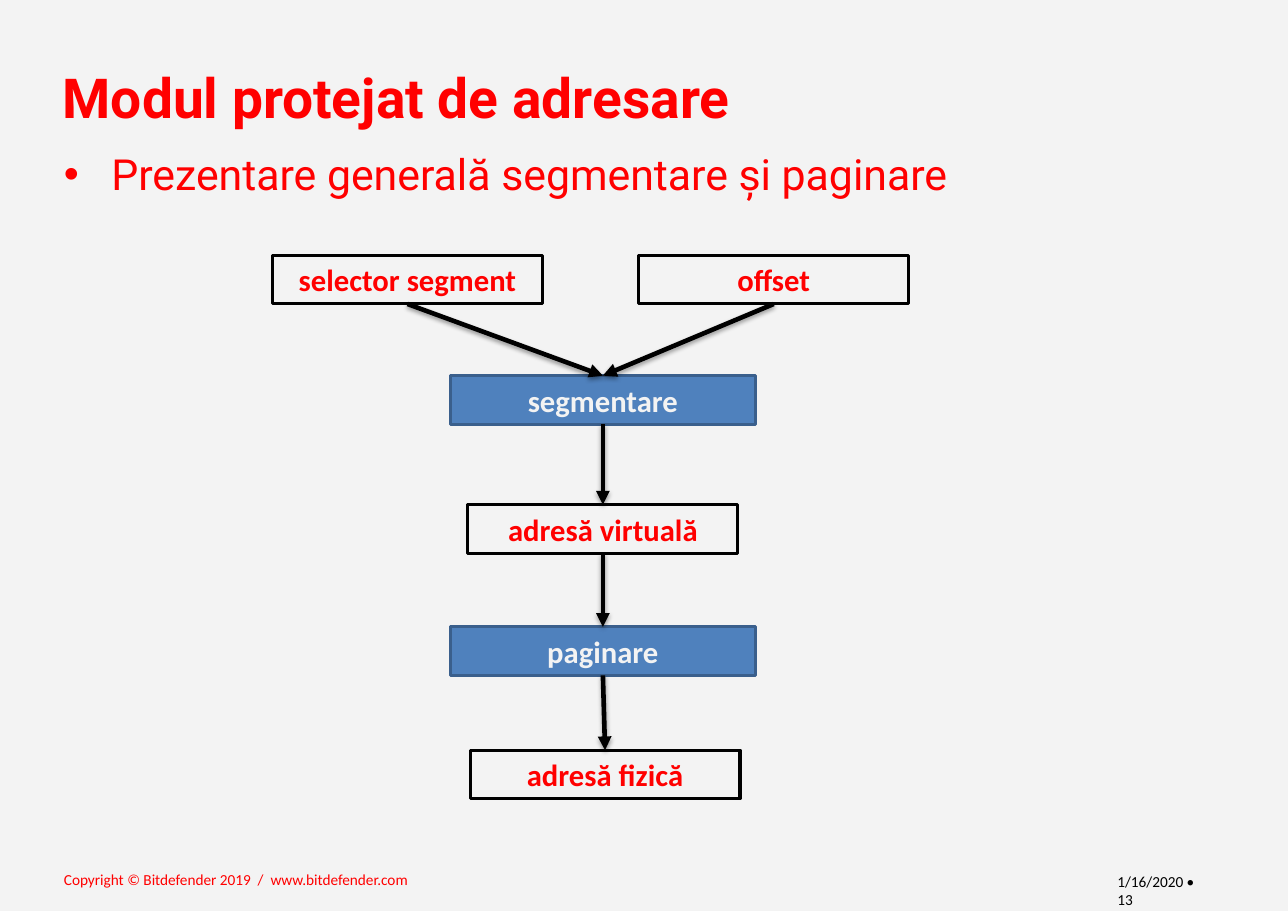
from lxml import etree
from pptx import Presentation
from pptx.dml.color import RGBColor
from pptx.enum.shapes import MSO_CONNECTOR as Connector, MSO_SHAPE as Shape
from pptx.enum.text import MSO_ANCHOR as Anchor, MSO_AUTO_SIZE as AutoSize, PP_ALIGN as Align
from pptx.oxml.ns import qn
from pptx.util import Pt

TITLE = "Modul protejat de adresare"
BULLET = "Prezentare generală segmentare și paginare"
COPYRIGHT = "Copyright © Bitdefender 2019  /  www.bitdefender.com"
DATE_AND_PAGE = "1/16/2020 • 13"

RED, BLACK, LIGHT = "FF0000", "000000", "F3F3F3"
STYLES = {
    "address": {"width": 176.4, "fill": LIGHT, "line": BLACK, "text": RED},
    "step": {"width": 199.4, "fill": "4F81BD", "line": "3A5F8C", "text": LIGHT},
}
BOX_HEIGHT = 31.7
BOXES = [
    ("selector segment", "address", 266.3, 167),
    ("offset", "address", 505.6, 167),
    ("segmentare", "step", 394, 245.5),
    ("adresă virtuală", "address", 394, 329.8),
    ("paginare", "step", 394, 409.7),
    ("adresă fizică", "address", 395.4, 490.3),
]
ARROWS = [
    ("selector segment", "segmentare"),
    ("offset", "segmentare"),
    ("segmentare", "adresă virtuală"),
    ("adresă virtuală", "paginare"),
    ("paginare", "adresă fizică"),
]


def color(value):
    return RGBColor.from_string(value)


def add_run(paragraph, text, font, size, fill, bold=False):
    run = paragraph.add_run()
    run.text = text
    run.font.name = font
    run.font.size = Pt(size)
    run.font.bold = bold
    run.font.color.rgb = color(fill)


def set_frame(frame, anchor, wrap=True, inset_x=8, inset_y=4):
    frame.word_wrap = wrap
    frame.auto_size = AutoSize.NONE
    frame.vertical_anchor = anchor
    frame.margin_left = frame.margin_right = Pt(inset_x)
    frame.margin_top = frame.margin_bottom = Pt(inset_y)
    return frame.paragraphs[0]


def add_text(slide, left, top, width, height, wrap=True):
    box = slide.shapes.add_textbox(Pt(left), Pt(top), Pt(width), Pt(height))
    return set_frame(box.text_frame, Anchor.TOP, wrap)


def add_bullet(paragraph, indent):
    properties = paragraph._p.get_or_add_pPr()
    properties.set("marL", str(Pt(indent)))
    properties.set("indent", str(-Pt(indent)))
    etree.SubElement(properties, qn("a:buFont"), typeface="Arial")
    etree.SubElement(properties, qn("a:buChar"), char="•")


def add_box(slide, label, style, center, top):
    look = STYLES[style]
    left = center - look["width"] / 2
    shape = slide.shapes.add_shape(
        Shape.RECTANGLE, Pt(left), Pt(top), Pt(look["width"]), Pt(BOX_HEIGHT))
    shape.shadow.inherit = False
    shape.fill.solid()
    shape.fill.fore_color.rgb = color(look["fill"])
    shape.line.color.rgb = color(look["line"])
    shape.line.width = Pt(2)
    paragraph = set_frame(shape.text_frame, Anchor.MIDDLE, True, 7.2, 3.6)
    paragraph.alignment = Align.CENTER
    add_run(paragraph, label, "Calibri", 20, look["text"], True)
    return shape


def add_arrow(slide, source, target):
    arrow = slide.shapes.add_connector(Connector.STRAIGHT, 0, 0, 0, 0)
    arrow.begin_connect(source, 2)
    arrow.end_connect(target, 0)
    arrow.line.color.rgb = color(BLACK)
    arrow.line.width = Pt(3)
    etree.SubElement(arrow.line._get_or_add_ln(), qn("a:tailEnd"), type="triangle")
    effects = etree.SubElement(arrow._element.spPr, qn("a:effectLst"))
    shadow = etree.SubElement(
        effects, qn("a:outerShdw"), blurRad=str(Pt(3.1)), dist=str(Pt(1.6)),
        dir="5400000", rotWithShape="0")
    shade = etree.SubElement(shadow, qn("a:srgbClr"), val=BLACK)
    etree.SubElement(shade, qn("a:alpha"), val="38000")


def main():
    presentation = Presentation()
    presentation.slide_width, presentation.slide_height = Pt(841.7), Pt(595.4)
    slide = presentation.slides.add_slide(presentation.slide_layouts[5])
    slide.background.fill.solid()
    slide.background.fill.fore_color.rgb = color(LIGHT)

    title = slide.shapes.title
    title.left, title.top, title.width, title.height = Pt(33.8), Pt(34.6), Pt(640.8), Pt(56.9)
    paragraph = set_frame(title.text_frame, Anchor.MIDDLE, True, 7.2, 3.6)
    paragraph.alignment = Align.LEFT
    add_run(paragraph, TITLE, "Roboto", 36, RED, True)

    paragraph = add_text(slide, 33.8, 92.5, 764.6, 44)
    add_bullet(paragraph, 31)
    add_run(paragraph, BULLET, "Roboto", 28, RED)

    shapes = {box[0]: add_box(slide, *box) for box in BOXES}
    for source, target in ARROWS:
        add_arrow(slide, shapes[source], shapes[target])

    add_run(add_text(slide, 33.8, 564.5, 247, 20, False), COPYRIGHT, "Calibri", 10, RED)
    add_run(add_text(slide, 722.2, 566, 77, 29), DATE_AND_PAGE, "Calibri", 10, BLACK)
    presentation.save("out.pptx")


if __name__ == "__main__":
    main()
